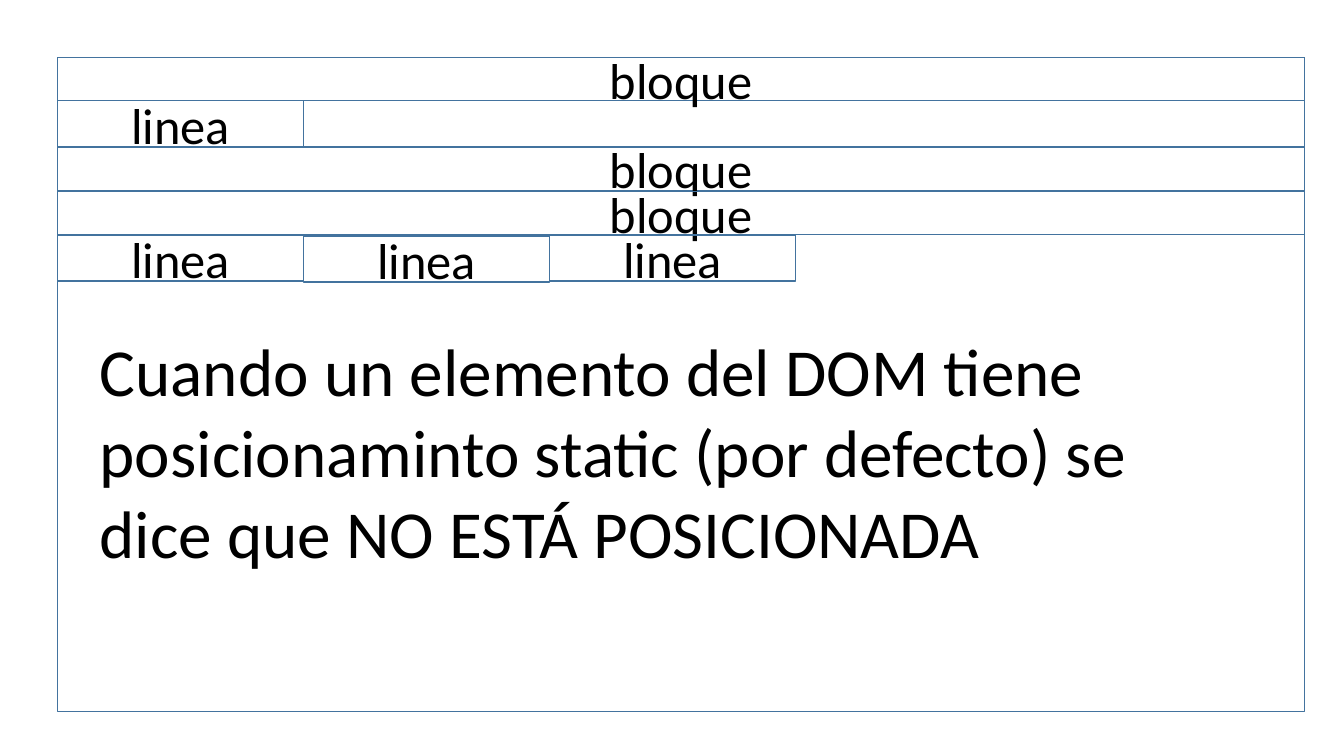
from dataclasses import dataclass

from pptx import Presentation
from pptx import util as u
from pptx.dml.color import RGBColor
from pptx.enum import shapes, text

PX = 9144  # EMU per px, 100 px to the inch
COLORS = {"line": "43739E", "text": "000000"}
FONT = "Calibri"

LEFT, TOP = 57, 57
PAGE_W, PAGE_H = 1237, 649
BLOCK_H = 43
INLINE_W, INLINE_H = 244, 46


@dataclass
class Box:
    left: int
    top: int
    width: int
    height: int
    label: str = ""


def px(n: int) -> u.Emu:
    return u.Emu(n * PX)


def block(top: int) -> Box:
    return Box(LEFT, top, PAGE_W, BLOCK_H, "bloque")


def inline(column: int, top: int) -> Box:
    return Box(LEFT + column * INLINE_W, top, INLINE_W, INLINE_H, "linea")


def add_run(p, content: str, size: int) -> None:
    r = p.add_run()
    r.text = content
    r.font.name = FONT
    r.font.size = u.Pt(size)
    r.font.color.rgb = RGBColor.from_string(COLORS["text"])


def draw_box(s, box: Box) -> None:
    sp = s.shapes.add_shape(shapes.MSO_SHAPE.RECTANGLE, px(box.left), px(box.top),
                            px(box.width), px(box.height))
    sp.shadow.inherit = False
    sp.fill.background()
    sp.line.color.rgb = RGBColor.from_string(COLORS["line"])
    sp.line.width = u.Pt(1)
    if box.label:
        tf = sp.text_frame
        tf.vertical_anchor = text.MSO_ANCHOR.MIDDLE
        p = tf.paragraphs[0]
        p.alignment = text.PP_ALIGN.CENTER
        add_run(p, box.label, 36)


def draw_note(s, box: Box) -> None:
    sp = s.shapes.add_textbox(px(box.left), px(box.top), px(box.width), px(box.height))
    tf = sp.text_frame
    tf.word_wrap = True
    tf.auto_size = text.MSO_AUTO_SIZE.SHAPE_TO_FIT_TEXT
    add_run(tf.paragraphs[0], box.label, 48)


def main() -> None:
    prs = Presentation()
    prs.slide_width, prs.slide_height = px(1333), px(750)
    s = prs.slides.add_slide(prs.slide_layouts[6])

    # Page outline, then the block and inline elements in flow order
    boxes = [
        Box(LEFT, TOP, PAGE_W, PAGE_H),
        block(TOP),
        inline(0, 100),
        block(146),
        block(190),
        inline(0, 233),
        inline(1, 234),
        inline(2, 233),
    ]
    for box in boxes:
        draw_box(s, box)

    # Explanation
    draw_note(s, Box(89, 322, 1163, 252,
                     "Cuando un elemento del DOM tiene posicionaminto static "
                     "(por defecto) se dice que NO ESTÁ POSICIONADA"))

    prs.save("out.pptx")


if __name__ == "__main__":
    main()
